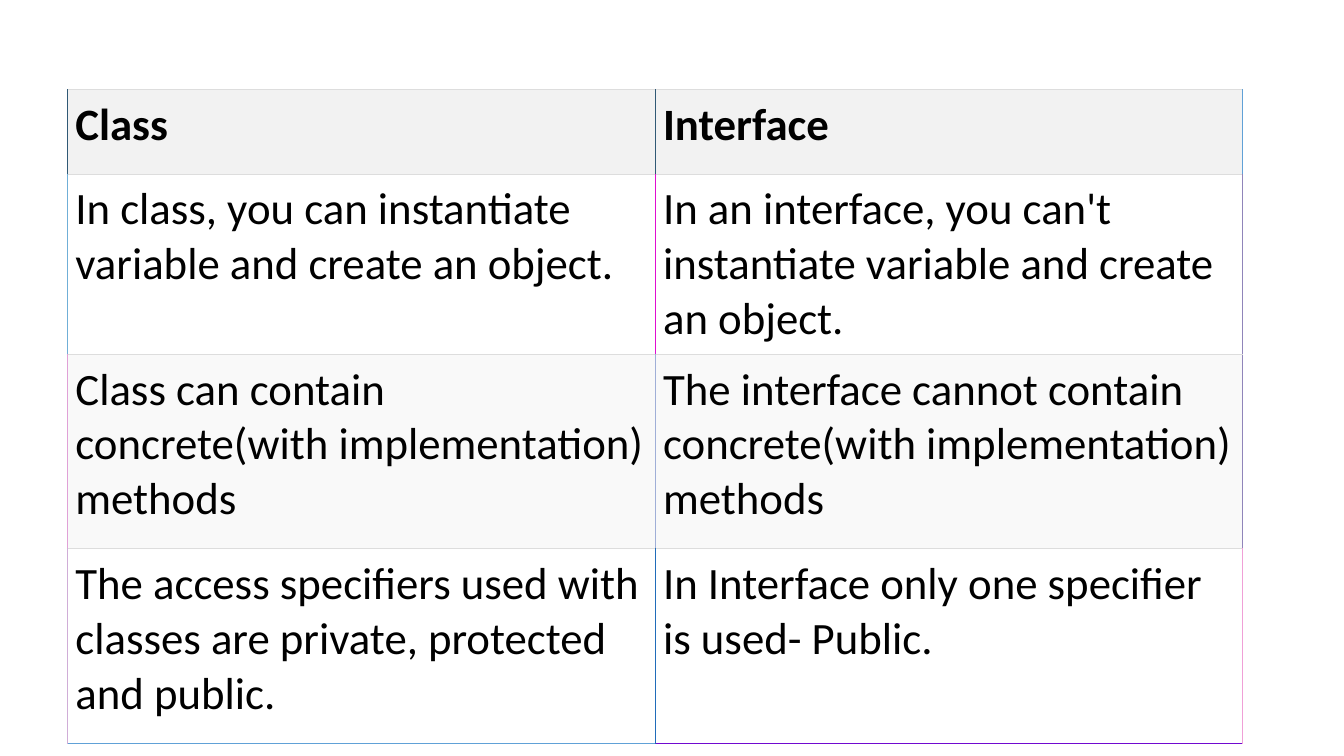
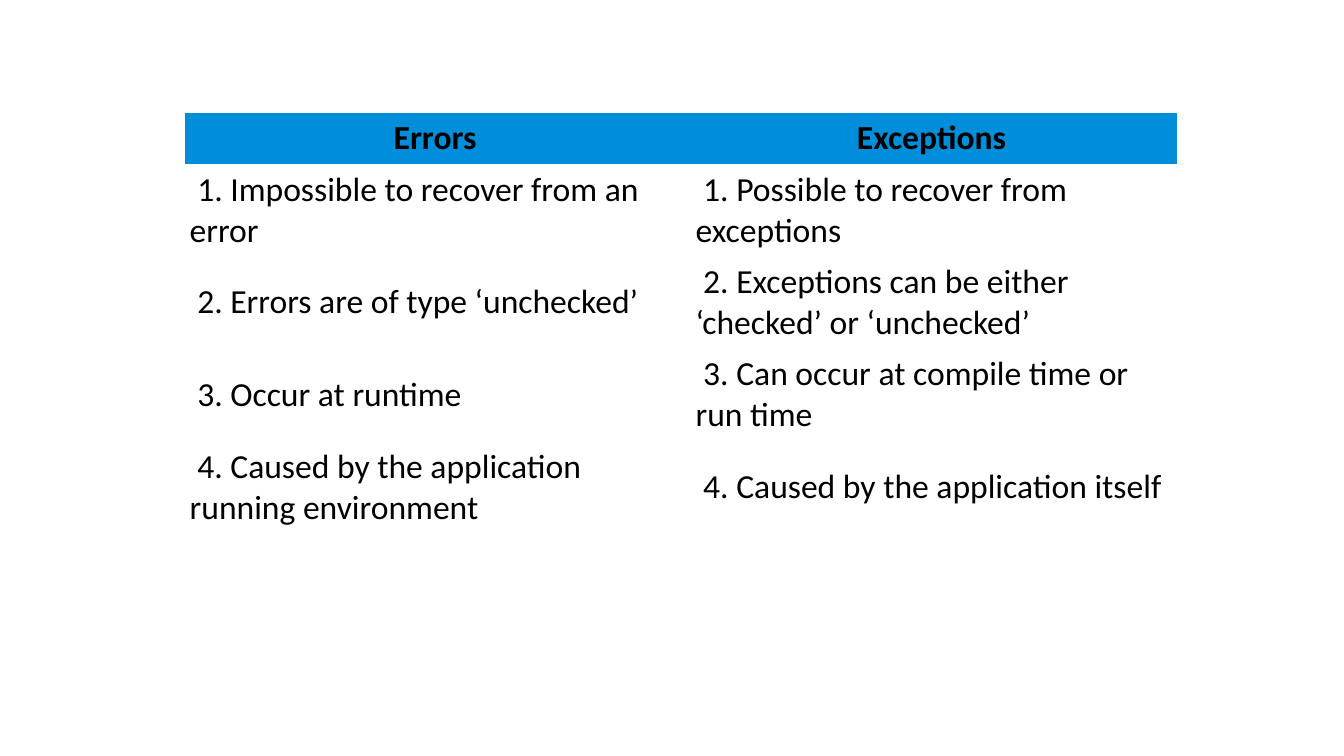
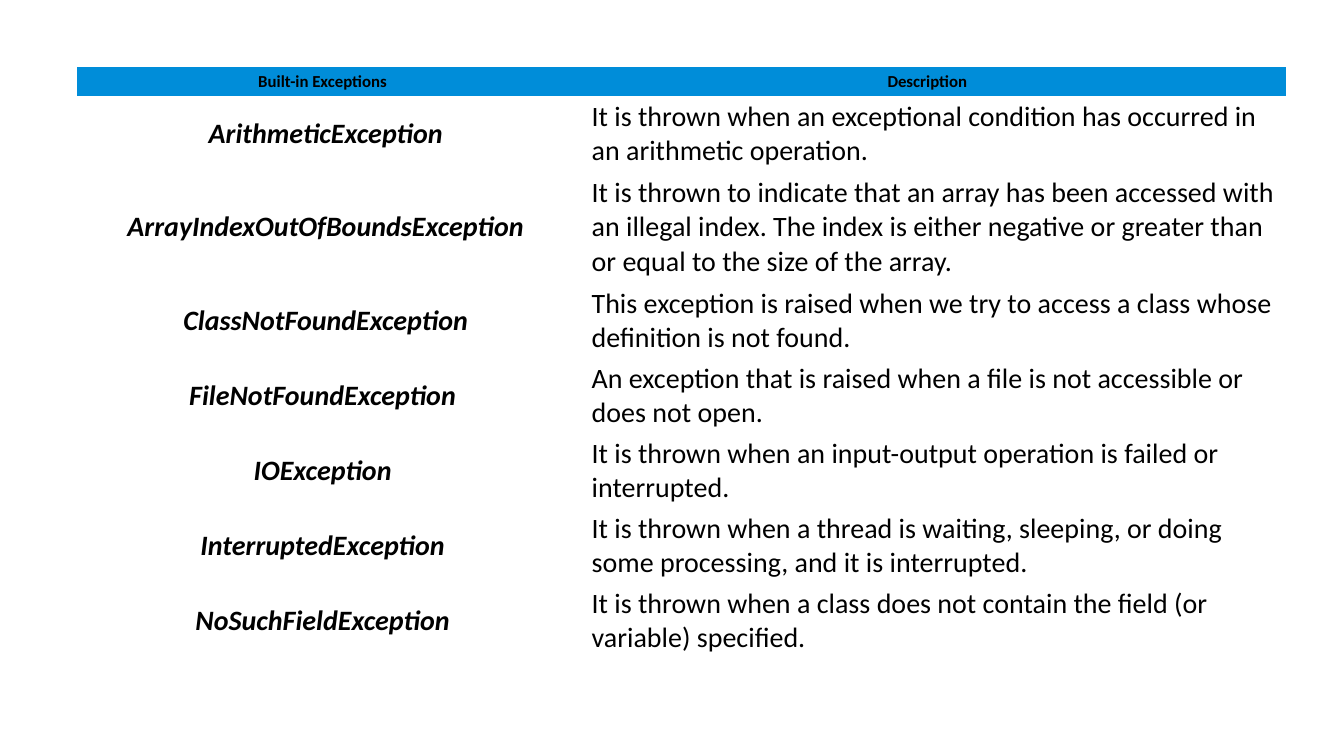
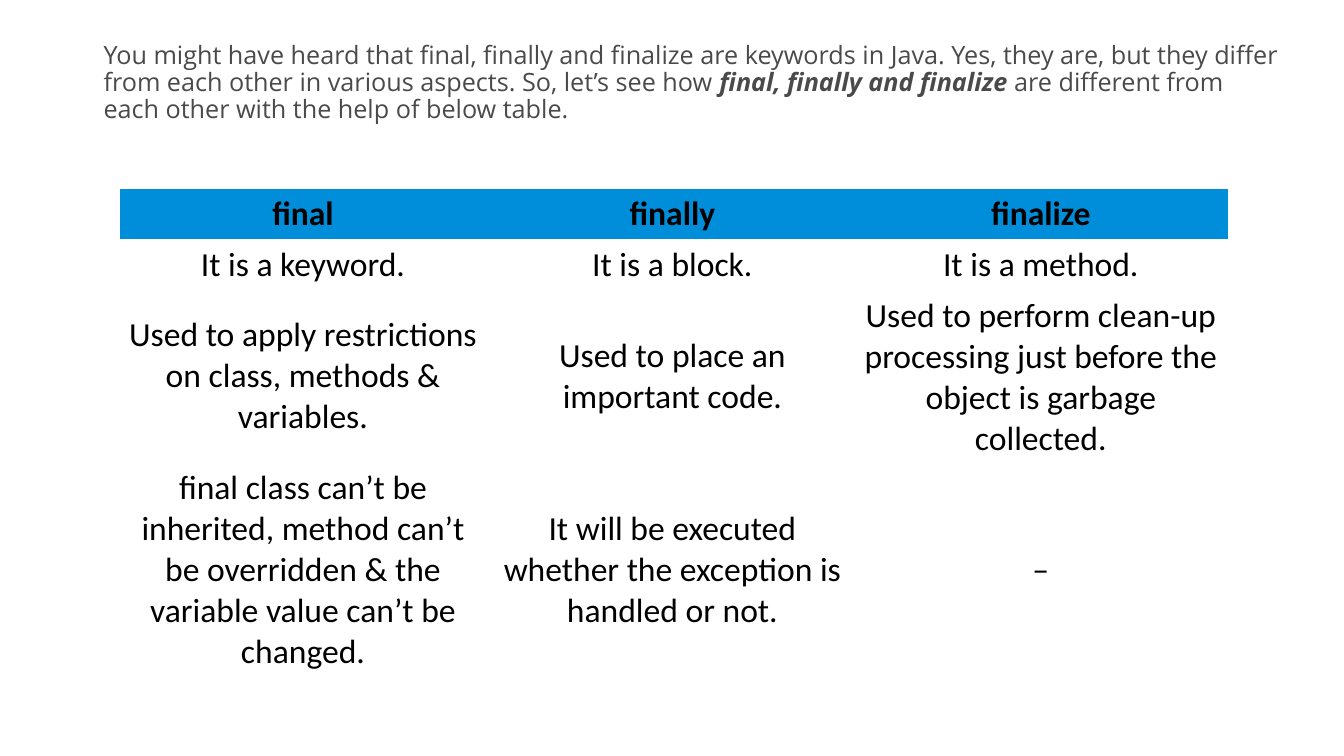
import lxml.etree
import pptx
import pptx.dml.color
import pptx.enum.text
import pptx.oxml.ns
import pptx.util

Cm = pptx.util.Cm
ALIGN = pptx.enum.text.PP_ALIGN
ANCHOR = pptx.enum.text.MSO_ANCHOR

# Shared look
TABLE_FONT, INTRO_FONT = "Calibri", "Open Sans"
BLACK, WHITE, GREY = "000000", "FFFFFF", "4A4A4A"
HEADER_BLUE = "008DD9"
ROW_LINE = "DDDDDD"
PLAIN_STYLE = "{2D5ABB26-0587-4C30-8999-92F81FD0307C}"
TIGHT = (0.08, 0.08, 0.15, 0.08)  # left, top, right, bottom in cm
NORMAL = (0.13, 0.13, 0.25, 0.13)
EVEN = (0.2, 0.2, 0.2, 0.2)


def color(value):
    return pptx.dml.color.RGBColor.from_string(value)


def add_span(para, text, size=24, font=TABLE_FONT, ink=BLACK, bold=False, italic=False):
    span = para.add_run()
    span.text = text
    span.font.size = pptx.util.Pt(size)
    span.font.name = font
    span.font.color.rgb = color(ink)
    span.font.bold = bold
    span.font.italic = italic


def add_slide(deck):
    return deck.slides.add_slide(deck.slide_layouts[6])


def add_table(page, left, top, widths, heights):
    """Unstyled table; all lengths in cm."""
    frame = page.shapes.add_table(len(heights), len(widths), Cm(left), Cm(top),
                                  Cm(sum(widths)), Cm(sum(heights)))
    table = frame.table
    table.first_row = table.horz_banding = False
    style = frame._element.find(".//" + pptx.oxml.ns.qn("a:tableStyleId"))
    style.text = PLAIN_STYLE
    for column, width in zip(table.columns, widths):
        column.width = Cm(width)
    for row, height in zip(table.rows, heights):
        row.height = Cm(height)
    return table


def fill_cell(cell, text, fill=None, margins=NORMAL, align=ALIGN.LEFT,
              anchor=ANCHOR.MIDDLE, **text_format):
    if fill:
        cell.fill.solid()
        cell.fill.fore_color.rgb = color(fill)
    else:
        cell.fill.background()
    (cell.margin_left, cell.margin_top,
     cell.margin_right, cell.margin_bottom) = map(Cm, margins)
    cell.vertical_anchor = anchor
    para = cell.text_frame.paragraphs[0]
    para.alignment = align
    add_span(para, text, **text_format)


def fill_header(table, titles, **cell_format):
    for column, title in enumerate(titles):
        fill_cell(table.cell(0, column), title, fill=HEADER_BLUE,
                  align=ALIGN.CENTER, bold=True, **cell_format)


def set_borders(cell, **edges):
    """Each edge (L, R, T, B) is a pair of colour and width in points."""
    properties = cell._tc.get_or_add_tcPr()
    for place, side in enumerate("LRTB"):
        ink, width = edges[side]
        line = lxml.etree.Element(pptx.oxml.ns.qn("a:ln" + side),
                                  w=str(pptx.util.Pt(width)))
        solid = lxml.etree.SubElement(line, pptx.oxml.ns.qn("a:solidFill"))
        lxml.etree.SubElement(solid, pptx.oxml.ns.qn("a:srgbClr"), val=ink)
        properties.insert(place, line)


def add_class_slide(deck):
    rows = [
        ("Class", "Interface"),
        ("In class, you can instantiate variable and create an object.",
         "In an interface, you can't instantiate variable and create an object."),
        ("Class can contain concrete(with implementation) methods",
         "The interface cannot contain concrete(with implementation) methods"),
        ("The access specifiers used with classes are private, protected and public.",
         "In Interface only one specifier is used- Public."),
    ]
    fills = ["F2F2F2", WHITE, "F9F9F9", WHITE]
    # Vertical lines of each row, left to right
    dark = ("305975", 0.75)
    uprights = [
        (dark, dark, ("60A1D7", 1)),
        (("70AFD7", 1), ("E00DD0", 1), ("9085BA", 1)),
        (("E0A1D7", 1), ("A0AFD7", 1), ("9085BA", 1)),
        (("D0ADD7", 1), ("206CBA", 1), ("F0A0D7", 1)),
    ]
    closing_lines = [("60A1D7", 1), ("7009D0", 1)]
    row_line = (ROW_LINE, 0.75)

    table = add_table(add_slide(deck), 1.7, 2.26, [14.81] * 2, [2.13, 4.5, 4.9, 4.9])
    for row, texts in enumerate(rows):
        for column, text in enumerate(texts):
            cell = table.cell(row, column)
            fill_cell(cell, text, fill=fills[row], margins=EVEN, anchor=ANCHOR.TOP,
                      size=32, bold=row == 0)
            last = row == len(rows) - 1
            set_borders(cell, L=uprights[row][column], R=uprights[row][column + 1],
                        T=row_line, B=closing_lines[column] if last else row_line)


def add_errors_slide(deck):
    pairs = [
        ("Impossible to recover from an error", "Possible to recover from exceptions"),
        ("Errors are of type ‘unchecked’",
         "Exceptions can be either ‘checked’ or ‘unchecked’"),
        ("Occur at runtime", "Can occur at compile time or run time"),
        ("Caused by the application running environment",
         "Caused by the application itself"),
    ]
    table = add_table(add_slide(deck), 4.65, 2.84, [12.75, 12.27],
                      [1.28] + [2.29] * len(pairs))
    fill_header(table, ["Errors", "Exceptions"])
    for number, pair in enumerate(pairs, 1):
        for column, text in enumerate(pair):
            fill_cell(table.cell(number, column), f"\u00a0{number}. {text}", fill=WHITE)


def add_exceptions_slide(deck):
    exceptions = [
        ("\u00a0ArithmeticException",
         "It is thrown when an exceptional condition has occurred in an arithmetic "
         "operation."),
        ("\u00a0ArrayIndexOutOfBoundsException",
         "It is thrown to indicate that an array has been accessed with an illegal index. "
         "The index is either negative or greater than or equal to the size of the array."),
        ("\u00a0ClassNotFoundException",
         "This exception is raised when we try to access a class whose definition is "
         "not found."),
        ("FileNotFoundException",
         "An exception that is raised when a file is not accessible or does not open."),
        ("IOException",
         "It is thrown when an input-output operation is failed or interrupted."),
        ("InterruptedException",
         "It is thrown when a thread is waiting, sleeping, or doing some processing, "
         "and it is interrupted."),
        ("NoSuchFieldException",
         "It is thrown when a class does not contain the field (or variable) specified."),
    ]
    table = add_table(add_slide(deck), 1.93, 1.7, [12.47, 18.01],
                      [0.73, 1.86, 2.82] + [1.86] * 5)
    fill_header(table, ["Built-in Exceptions", "Description"], margins=TIGHT, size=12)
    for row, (name, description) in enumerate(exceptions, 1):
        fill_cell(table.cell(row, 0), name, margins=TIGHT, align=ALIGN.CENTER,
                  size=20, bold=True, italic=True)
        fill_cell(table.cell(row, 1), description, margins=(0.51,) + TIGHT[1:], size=20)


def add_intro(page):
    box = page.shapes.add_textbox(Cm(2.36), Cm(0.94), Cm(30.23), Cm(2.57))
    box.text_frame.word_wrap = True
    box.text_frame.auto_size = pptx.enum.text.MSO_AUTO_SIZE.SHAPE_TO_FIT_TEXT
    para = box.text_frame.paragraphs[0]
    para.line_spacing = 0.9
    spans = [
        ("You might have heard that final, finally and finalize are keywords in Java. "
         "Yes, they are, but they differ from each other in various aspects. "
         "So, let’s see how\u00a0", False),
        ("final, finally and finalize", True),
        ("\u00a0are different from each other with the help of below table.", False),
    ]
    for text, strong in spans:
        add_span(para, text, size=18, font=INTRO_FONT, ink=GREY,
                 bold=strong, italic=strong)


def add_final_slide(deck):
    rows = [
        ("It is a keyword.", "It is a block.", "It is a method."),
        ("Used to apply restrictions on class, methods & variables.",
         "Used to place an important code.",
         "Used to perform clean-up processing just before the object is garbage collected."),
        ("final class can’t be inherited, method can’t be overridden & the variable "
         "value can’t be changed.",
         "It will be executed whether the exception is handled or not.",
         "–"),
    ]
    page = add_slide(deck)
    add_intro(page)
    table = add_table(page, 3.02, 4.75, [9.35, 9.27, 9.3], [1.28, 1.28, 4.35, 5.4])
    fill_header(table, ["final", "finally", "finalize"])
    for row, texts in enumerate(rows, 1):
        for column, text in enumerate(texts):
            fill_cell(table.cell(row, column), text, fill=WHITE, align=ALIGN.CENTER)


def main():
    deck = pptx.Presentation()
    deck.slide_width, deck.slide_height = Cm(33.87), Cm(19.05)
    add_class_slide(deck)
    add_errors_slide(deck)
    add_exceptions_slide(deck)
    add_final_slide(deck)
    deck.save("out.pptx")


main()
